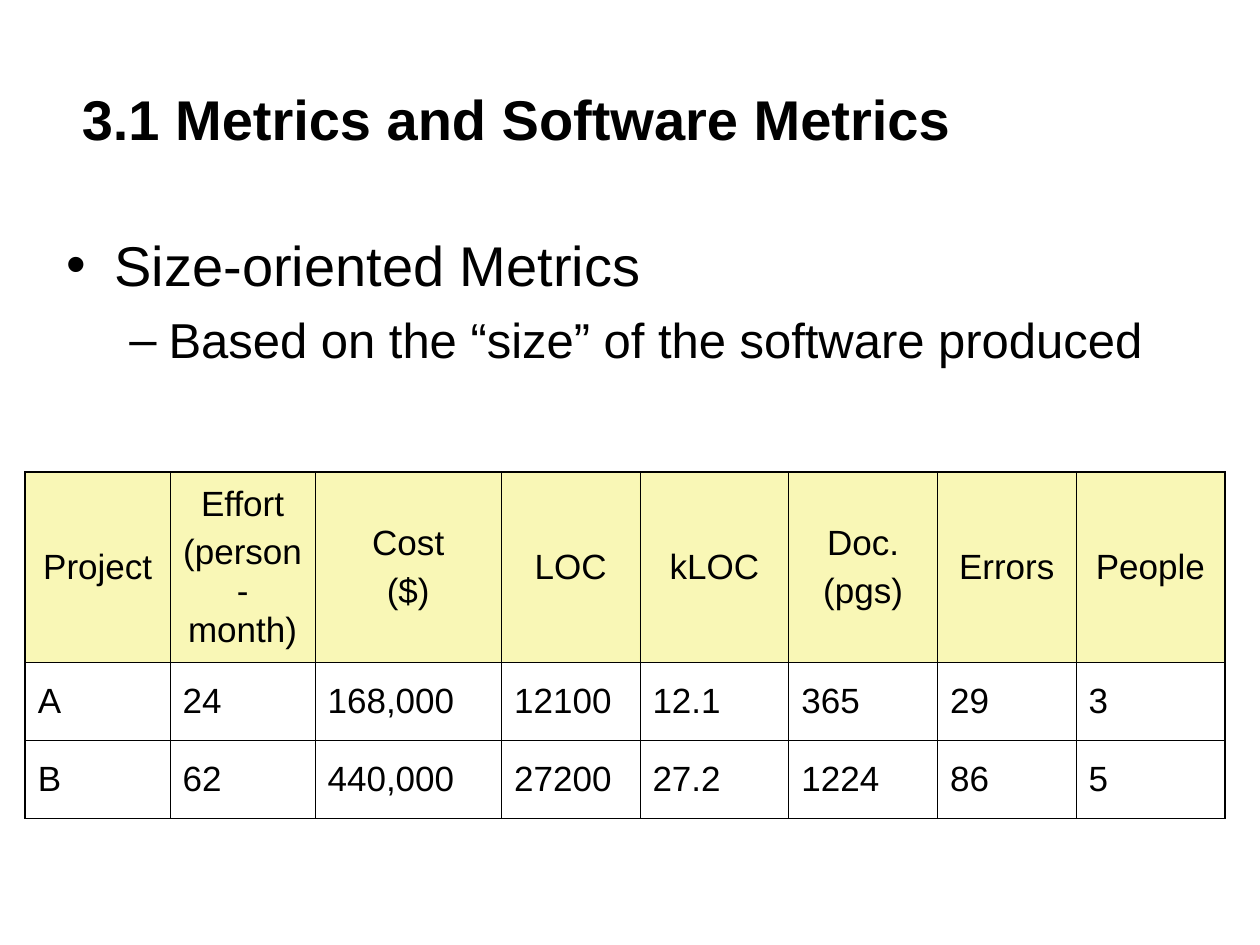
"""Build a slide on size-oriented software metrics with a project table."""
from dataclasses import dataclass

from lxml.etree import SubElement
from pptx import Presentation
from pptx.dml.color import RGBColor
from pptx.enum.text import MSO_ANCHOR as Anchor, PP_ALIGN as Align
from pptx.oxml import parse_xml
from pptx.oxml.ns import nsdecls, qn
from pptx.util import Cm, Pt


@dataclass(frozen=True)
class Theme:
    font: str = "Arial"
    ink: str = "000000"
    header: str = "F5F06F"
    header_alpha: int = 50000
    title_size: int = 32
    detail_size: int = 28
    table_size: int = 20
    inner_line: float = 0.45
    outer_line: float = 1.08


THEME = Theme()
TITLE = "3.1 Metrics and Software Metrics"
BULLETS = [
    # text, marker, level, size, left margin, hanging indent, space before
    ("Size-oriented Metrics", "•", 0, THEME.title_size, 0.97, 0.97, 0),
    ("Based on the “size” of the software produced", "–", 1, THEME.detail_size, 2.06, 0.79, 7),
]
COLUMNS = [
    ("Project", 2.92), ("Effort\n(person-month)", 2.92), ("Cost\n($)", 3.76),
    ("LOC", 2.79), ("kLOC", 3), ("Doc.\n(pgs)", 3), ("Errors", 2.79), ("People", 3),
]
PROJECTS = [
    ("A", "24", "168,000", "12100", "12.1", "365", "29", "3"),
    ("B", "62", "440,000", "27200", "27.2", "1224", "86", "5"),
]
ROW_HEIGHTS = [3.84, 1.57, 1.57]


def style(paragraph, size, bold=False):
    font = paragraph.font
    font.name, font.size, font.bold = THEME.font, Pt(size), bold
    font.color.rgb = RGBColor.from_string(THEME.ink)


def add_text_box(slide, left, top, width, height, anchor):
    frame = slide.shapes.add_textbox(Cm(left), Cm(top), Cm(width), Cm(height)).text_frame
    frame.word_wrap = True
    frame.vertical_anchor = anchor
    return frame


def add_bullets(frame):
    for index, (text, marker, level, size, margin, hanging, space) in enumerate(BULLETS):
        paragraph = frame.add_paragraph() if index else frame.paragraphs[0]
        paragraph.text, paragraph.level = text, level
        paragraph.space_before = Pt(space)
        properties = paragraph._p.get_or_add_pPr()
        properties.set("marL", str(Cm(margin)))
        properties.set("indent", str(-Cm(hanging)))
        SubElement(properties, qn("a:buFont"), typeface=THEME.font)
        SubElement(properties, qn("a:buChar"), char=marker)
        style(paragraph, size)


def set_borders(cell, outer_sides):
    properties = cell._tc.get_or_add_tcPr()
    for position, side in enumerate("LRTB"):
        width = Pt(THEME.outer_line if side in outer_sides else THEME.inner_line)
        properties.insert(position, parse_xml(
            f'<a:ln{side} {nsdecls("a")} w="{width}"><a:solidFill>'
            f'<a:srgbClr val="{THEME.ink}"/></a:solidFill></a:ln{side}>'))


def fill_cell(cell, text, is_header):
    cell.text = text
    cell.vertical_anchor = Anchor.MIDDLE
    for index, paragraph in enumerate(cell.text_frame.paragraphs):
        paragraph.alignment = Align.CENTER if is_header else Align.LEFT
        paragraph.space_before = Pt(5 if index else 0)
        style(paragraph, THEME.table_size)
    if is_header:
        cell.fill.solid()
        cell.fill.fore_color.rgb = RGBColor.from_string(THEME.header)
        color = cell._tc.tcPr.find(".//" + qn("a:srgbClr"))
        SubElement(color, qn("a:alpha"), val=str(THEME.header_alpha))
    else:
        cell.fill.background()


def add_metrics_table(slide, left, top):
    headings, widths = zip(*COLUMNS)
    rows = [headings, *PROJECTS]
    last_row, last_column = len(rows) - 1, len(widths) - 1
    table = slide.shapes.add_table(
        len(rows), len(widths), Cm(left), Cm(top), Cm(sum(widths)), Cm(sum(ROW_HEIGHTS))).table
    table.first_row = table.horz_banding = False
    for column, width in zip(table.columns, widths):
        column.width = Cm(width)
    for row, height in zip(table.rows, ROW_HEIGHTS):
        row.height = Cm(height)
    for y, values in enumerate(rows):
        for x, text in enumerate(values):
            cell = table.cell(y, x)
            fill_cell(cell, text, is_header=y == 0)
            edges = {"L": x == 0, "R": x == last_column, "T": y == 0, "B": y == last_row}
            set_borders(cell, [side for side, is_outer in edges.items() if is_outer])


def main():
    presentation = Presentation()
    presentation.slide_width, presentation.slide_height = Cm(25.4), Cm(19.05)
    slide = presentation.slides.add_slide(presentation.slide_layouts[6])
    title = add_text_box(slide, 1.4, 0.8, 22.86, 3.18, Anchor.MIDDLE).paragraphs[0]
    title.text = TITLE
    style(title, THEME.title_size, bold=True)
    add_bullets(add_text_box(slide, 1.09, 4.52, 22.86, 12.57, Anchor.TOP))
    add_metrics_table(slide, 0.51, 9.52)
    presentation.save("out.pptx")


if __name__ == "__main__":
    main()
